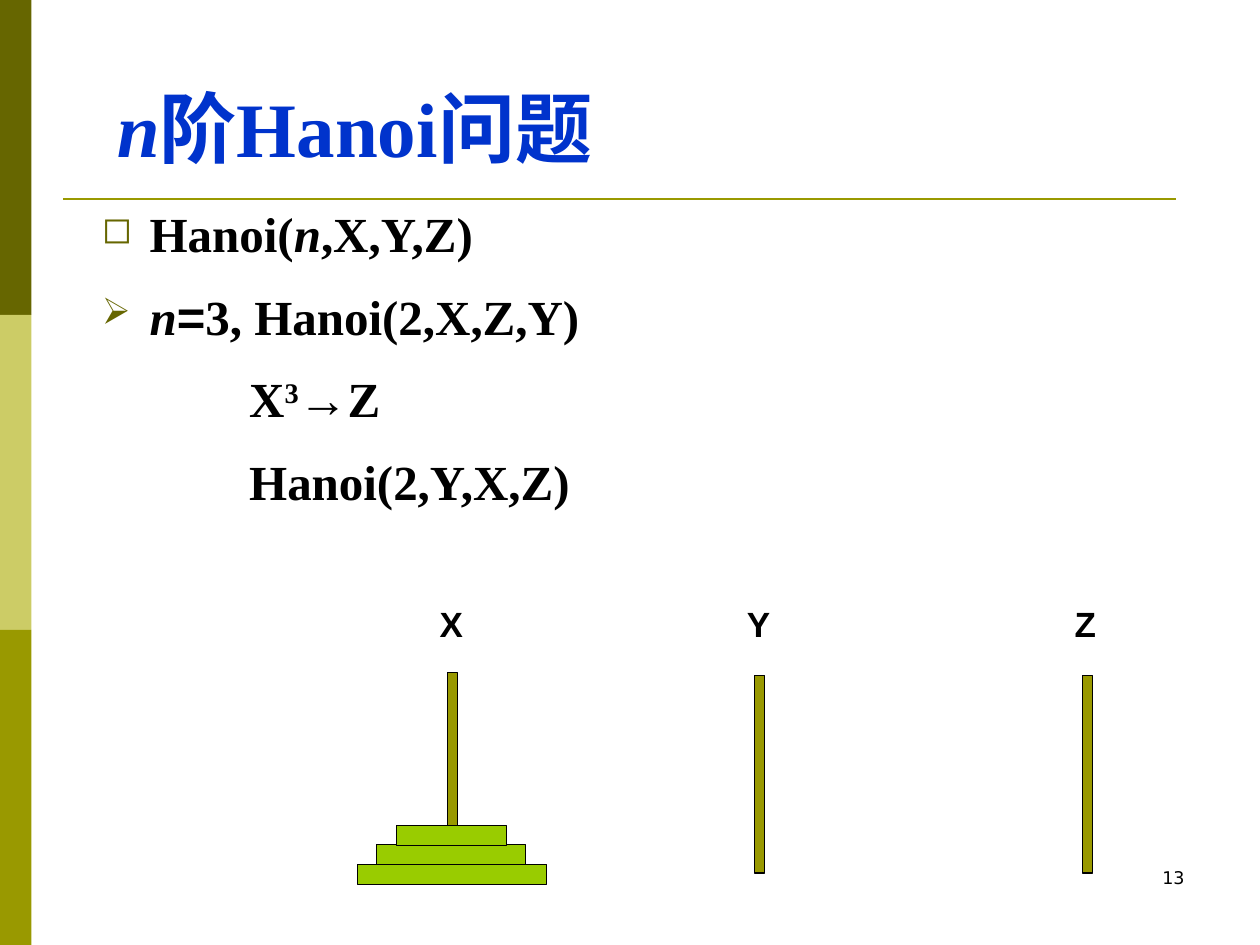
from dataclasses import dataclass

from lxml import etree
from pptx import Presentation
from pptx.dml.color import RGBColor
from pptx.enum.shapes import MSO_CONNECTOR, MSO_SHAPE
from pptx.enum.text import MSO_ANCHOR, PP_ALIGN
from pptx.oxml.ns import qn
from pptx.util import Inches, Pt

BLACK = RGBColor(0x00, 0x00, 0x00)
BLUE = RGBColor(0x00, 0x33, 0xCC)
DARK_OLIVE = RGBColor(0x66, 0x66, 0x00)
OLIVE = RGBColor(0x99, 0x99, 0x00)
PALE_OLIVE = RGBColor(0xCC, 0xCC, 0x66)
GREEN = RGBColor(0x99, 0xCC, 0x00)
SERIF, SANS, NUMBER_FONT = "Times New Roman", "Arial", "DejaVu Sans"


@dataclass
class Span:
    text: str
    italic: bool = False
    font: str = SERIF
    baseline: int = 0


@dataclass
class Step:
    spans: list[Span]
    bullet: str = ""


@dataclass
class Peg:
    name: str
    left: float
    top: float


@dataclass
class Disk:
    left: float
    top: float
    width: float


STEPS = [
    Step([Span("Hanoi("), Span("n", italic=True), Span(",X,Y,Z)")], "◻"),
    Step([Span("n", italic=True), Span("=", font=SANS), Span("3, Hanoi(2,X,Z,Y)")], "➢"),
    Step([Span("X"), Span("3", baseline=30), Span("→", font=SANS), Span("Z")]),
    Step([Span("Hanoi(2,Y,X,Z)")]),
]
PEGS = [Peg("X", 3.55, 5.34), Peg("Y", 5.99, 5.36), Peg("Z", 8.59, 5.36)]
DISKS = [Disk(2.84, 6.86, 1.5), Disk(2.99, 6.7, 1.18), Disk(3.15, 6.55, 0.87)]


def add_block(page, left: float, top: float, width: float, height: float,
              fill: RGBColor, outlined: bool = True):
    block = page.shapes.add_shape(MSO_SHAPE.RECTANGLE, Inches(left), Inches(top),
                                  Inches(width), Inches(height))
    block.shadow.inherit = False
    block.fill.solid()
    block.fill.fore_color.rgb = fill
    if outlined:
        block.line.color.rgb = BLACK
        block.line.width = Pt(0.75)
    else:
        block.line.fill.background()
    return block


def set_indent(para, bullet: str) -> None:
    """Hang a bulleted line; push a plain line in under the call above it."""
    props = para._p.get_or_add_pPr()
    props.set("marL", str(Inches(0.38 if bullet else 1.17)))
    props.set("indent", str(Inches(-0.38 if bullet else 0)))
    if bullet:
        color = etree.SubElement(props, qn("a:buClr"))
        etree.SubElement(color, qn("a:srgbClr"), val=str(DARK_OLIVE))
        etree.SubElement(props, qn("a:buSzPct"), val="75000")
        etree.SubElement(props, qn("a:buChar"), char=bullet)


def add_text(page, steps: list[Step], left: float, top: float, width: float,
             height: float, *, size: float, color: RGBColor = BLACK,
             bold: bool = True, align=PP_ALIGN.LEFT, anchor=MSO_ANCHOR.TOP,
             listed: bool = False, wrap: bool = True):
    box = page.shapes.add_textbox(Inches(left), Inches(top), Inches(width), Inches(height))
    frame = box.text_frame
    frame.word_wrap = wrap
    frame.vertical_anchor = anchor
    for index, step in enumerate(steps):
        para = frame.add_paragraph() if index else frame.paragraphs[0]
        para.alignment = align
        if listed:
            para.line_spacing = 1.2
            if index:
                para.space_before = Pt(7)
            set_indent(para, step.bullet)
        for span in step.spans:
            run = para.add_run()
            run.text = span.text
            font = run.font
            font.name, font.size = span.font, Pt(size)
            font.bold, font.italic = bold, span.italic
            font.color.rgb = color
            if span.baseline:
                run._r.get_or_add_rPr().set("baseline", str(span.baseline * 1000))
    return box


def add_rule(page, left: float, right: float, y: float) -> None:
    rule = page.shapes.add_connector(MSO_CONNECTOR.STRAIGHT, Inches(left), Inches(y),
                                     Inches(right), Inches(y))
    rule.line.color.rgb = OLIVE
    rule.line.width = Pt(1.5)
    etree.SubElement(rule._element.spPr, qn("a:effectLst"))


def main() -> None:
    deck = Presentation()
    deck.slide_width, deck.slide_height = Inches(10), Inches(7.5)
    page = deck.slides.add_slide(deck.slide_layouts[6])

    # Side band and title rule
    for index, fill in enumerate((DARK_OLIVE, PALE_OLIVE, OLIVE)):
        add_block(page, 0, 2.5 * index, 0.25, 2.5, fill, outlined=False)
    add_rule(page, 0.5, 9.33, 1.58)

    # Slide number, title and steps
    add_text(page, [Step([Span("13", font=NUMBER_FONT)])], 7.17, 6.83, 2.33, 0.5,
             size=10, bold=False, align=PP_ALIGN.RIGHT)
    add_text(page, [Step([Span("n", italic=True), Span("阶Hanoi问题")])],
             0.83, 0.68, 8.6, 0.74, size=44, color=BLUE, anchor=MSO_ANCHOR.BOTTOM)
    add_text(page, STEPS, 0.71, 1.47, 8.94, 5.59, size=28, listed=True)

    # Pegs with their names, then the disks on the first peg
    for peg in PEGS:
        add_block(page, peg.left, peg.top, 0.08, 1.57, OLIVE)
        add_text(page, [Step([Span(peg.name, font=SANS)])], peg.left - 0.16, 4.73,
                 0.39, 0.44, size=20, wrap=False)
    for disk in DISKS:
        add_block(page, disk.left, disk.top, disk.width, 0.16, GREEN)

    deck.save("out.pptx")


if __name__ == "__main__":
    main()
